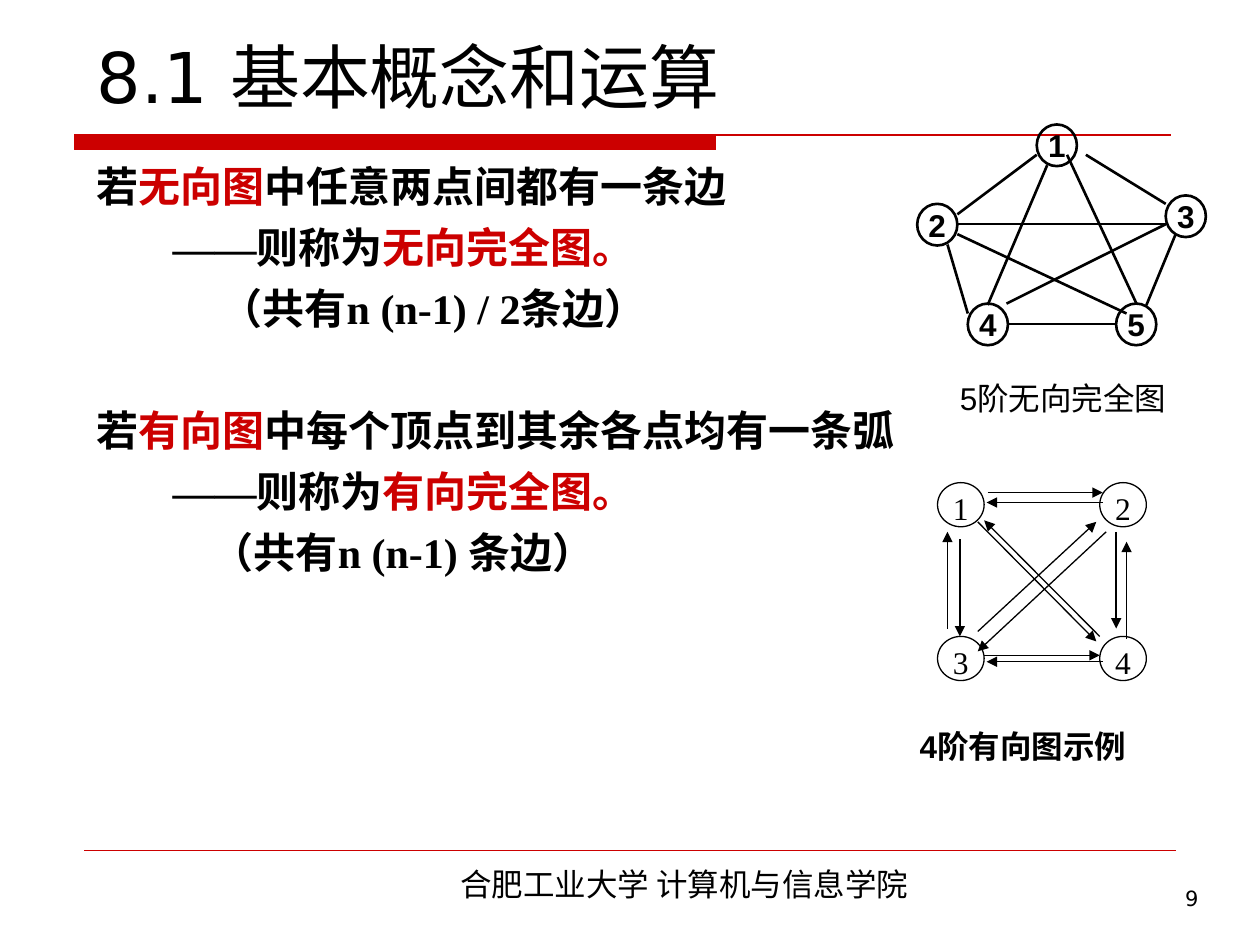
from dataclasses import dataclass

from lxml.etree import SubElement
from pptx import Presentation
from pptx.dml.color import RGBColor
from pptx.enum.shapes import MSO_CONNECTOR as Connector, MSO_SHAPE as Preset
from pptx.enum.text import MSO_ANCHOR as Anchor, PP_ALIGN as Align
from pptx.oxml.ns import qn
from pptx.util import Cm, Pt


@dataclass(frozen=True)
class Theme:
    black: RGBColor = RGBColor(0, 0, 0)
    red: RGBColor = RGBColor(0xCC, 0, 0)
    white: RGBColor = RGBColor(255, 255, 255)
    sans: str = "Arial"
    serif: str = "Times New Roman"
    heading: str = "DejaVu Sans"
    chinese: str = "Noto Sans CJK SC"
    title_size: int = 40
    body_size: int = 24
    label_size: int = 18
    page_size: int = 12


THEME = Theme()

UNDIRECTED_NODES = {"1": (20.9, 2.51), "2": (18.49, 4.11), "3": (23.5, 3.94),
                    "4": (19.51, 6.12), "5": (22.5, 6.12)}
UNDIRECTED_EDGES = [
    (20.9, 3.12, 19.3, 4.32), (19.1, 4.93, 19.51, 6.32),
    (21.89, 3.12, 23.5, 4.11), (21.51, 3.12, 22.91, 6.12),
    (23.5, 4.52, 20.29, 6.12), (19.3, 4.72, 22.71, 6.32),
    (20.29, 6.53, 22.5, 6.53), (23.7, 4.72, 23.11, 6.15),
    (19.3, 4.52, 23.5, 4.52), (21.11, 3.33, 19.91, 6.15),
]
DIRECTED_NODES = {"1": (18.9, 9.73), "2": (22.17, 9.73),
                  "3": (18.9, 12.83), "4": (22.17, 12.83)}
DIRECTED_ARCS = [
    (19.91, 9.93, 22.23, 9.93), (22.23, 10.13, 19.89, 10.13),
    (19.84, 13.21, 22.17, 13.21), (22.23, 13.34, 19.89, 13.34),
    (19.35, 10.87, 19.35, 12.83), (19.1, 12.67, 19.1, 10.72),
    (22.71, 12.88, 22.71, 10.92), (22.5, 10.72, 22.5, 12.67),
    (22.17, 12.83, 19.84, 10.49), (19.71, 10.52, 22.1, 12.93),
    (19.71, 12.73, 22.1, 10.52), (22.3, 10.72, 19.71, 13.13),
]


def write(paragraph, text, *, size=THEME.label_size, font=THEME.sans,
          east_asian=THEME.chinese, color=THEME.black, bold=False, align=None):
    """Append one formatted run to the paragraph."""
    if align is not None:
        paragraph.alignment = align
    run = paragraph.add_run()
    run.text = text
    run.font.size = Pt(size)
    run.font.bold = bold
    run.font.color.rgb = color
    run.font.name = font
    SubElement(run.font._element, qn("a:ea"), typeface=east_asian)


def add_text_box(shapes, left, top, width, height, anchor=Anchor.TOP):
    box = shapes.add_textbox(Cm(left), Cm(top), Cm(width), Cm(height))
    frame = box.text_frame
    frame.word_wrap = True
    frame.vertical_anchor = anchor
    return frame


def add_label(shapes, place, text, anchor=Anchor.TOP, **style):
    frame = add_text_box(shapes, *place, anchor=anchor)
    write(frame.paragraphs[0], text, **style)


def add_line(shapes, ends, width, color=THEME.black, arrow=False):
    line = shapes.add_connector(Connector.STRAIGHT, *map(Cm, ends))
    line.line.color.rgb = color
    line.line.width = Pt(width)
    if arrow:
        SubElement(line.line._get_or_add_ln(), qn("a:tailEnd"), type="triangle")
    SubElement(line._element.spPr, qn("a:effectLst"))


def add_node(shapes, position, size, text, line_width, fill=None, **style):
    node = shapes.add_shape(Preset.OVAL, *map(Cm, position + size))
    node.shadow.inherit = False
    if fill is None:
        node.fill.background()
    else:
        node.fill.solid()
        node.fill.fore_color.rgb = fill
    node.line.color.rgb = THEME.black
    node.line.width = Pt(line_width)
    write(node.text_frame.paragraphs[0], text, align=Align.CENTER, **style)
    return node.text_frame


def add_title_rule(shapes):
    """Thick bar that runs on as a thin line."""
    left, bar_right, right, top, bottom = map(Cm, (1.5, 14.43, 23.6, 2.72, 3.02))
    builder = shapes.build_freeform(left, top)
    builder.add_line_segments(
        [(bar_right, top), (bar_right, bottom), (left, bottom)], close=True)
    builder.move_to(left, top)
    builder.add_line_segments([(right, top)], close=False)
    rule = builder.convert_to_shape()
    rule.shadow.inherit = False
    rule.fill.solid()
    rule.fill.fore_color.rgb = THEME.red
    rule.line.color.rgb = THEME.red
    rule.line.width = Pt(0.75)


def add_definitions(shapes):
    frame = add_text_box(shapes, 1.7, 3.12, 22.2, 13.79)
    definitions = [
        ("无向图", "中任意两点间都有一条边", "无向完全图。", "（共有n (n-1) / 2条边）", 2.5),
        ("有向图", "中每个顶点到其余各点均有一条弧", "有向完全图。", "（共有n (n-1) 条边）", 2.32),
    ]
    style = dict(size=THEME.body_size, font=THEME.serif, bold=True)
    for index, (graph, condition, name, count, count_indent) in enumerate(definitions):
        premise = frame.add_paragraph() if index else frame.paragraphs[0]
        if index:
            premise.space_before = Pt(41)
        write(premise, "若", **style)
        write(premise, graph, color=THEME.red, **style)
        write(premise, condition, **style)

        conclusion = frame.add_paragraph()
        write(conclusion, "——", east_asian=THEME.serif, **style)
        write(conclusion, "则称为", **style)
        write(conclusion, name, color=THEME.red, **style)

        total = frame.add_paragraph()
        write(total, count, **style)
        for paragraph, indent in ((conclusion, 1.53), (total, count_indent)):
            paragraph.space_before = Pt(6)
            properties = paragraph._p.get_or_add_pPr()
            properties.set("marL", str(Cm(indent)))
            properties.set("indent", "0")


def add_undirected_graph(slide):
    shapes = slide.shapes.add_group_shape().shapes
    for edge in UNDIRECTED_EDGES:
        add_line(shapes, edge, 1.5)
    for text, position in UNDIRECTED_NODES.items():
        frame = add_node(shapes, position, (0.81, 0.84), text, 1.5, bold=True)
        frame.word_wrap = False
        frame.vertical_anchor = Anchor.MIDDLE
    add_label(shapes, (19.1, 7.52, 5.21, 1.02), "5阶无向完全图")


def add_directed_graph(slide):
    shapes = slide.shapes.add_group_shape().shapes
    for text, position in DIRECTED_NODES.items():
        frame = add_node(shapes, position, (0.94, 0.89), text, 0.75,
                         fill=THEME.white, font=THEME.serif)
        frame.word_wrap = True
        frame.vertical_anchor = Anchor.TOP
        frame.margin_left = frame.margin_right = 0
        frame.margin_top = frame.margin_bottom = 0
    for arc in DIRECTED_ARCS:
        add_line(shapes, arc, 0.75, arrow=True)
    add_label(shapes, (18.29, 14.53, 5.79, 1.02), "4阶有向图示例", bold=True)


def main():
    presentation = Presentation()
    presentation.slide_width, presentation.slide_height = Cm(25.4), Cm(19.05)
    slide = presentation.slides.add_slide(presentation.slide_layouts[6])
    shapes = slide.shapes
    add_title_rule(shapes)
    add_line(shapes, (1.7, 17.15, 23.7, 17.15), 0.25, THEME.red)
    add_label(shapes, (6.1, 17.32, 15.39, 1.02), "合肥工业大学 计算机与信息学院",
              font=THEME.chinese, align=Align.CENTER)
    add_label(shapes, (1.7, -0.89, 22.23, 3.38), "8.1 基本概念和运算", anchor=Anchor.BOTTOM,
              size=THEME.title_size, font=THEME.heading)
    add_definitions(shapes)
    add_undirected_graph(slide)
    add_directed_graph(slide)
    add_label(shapes, (18.9, 17.73, 5.51, 1.32), "9", size=THEME.page_size,
              font=THEME.heading, align=Align.RIGHT)
    presentation.save("out.pptx")


if __name__ == "__main__":
    main()
